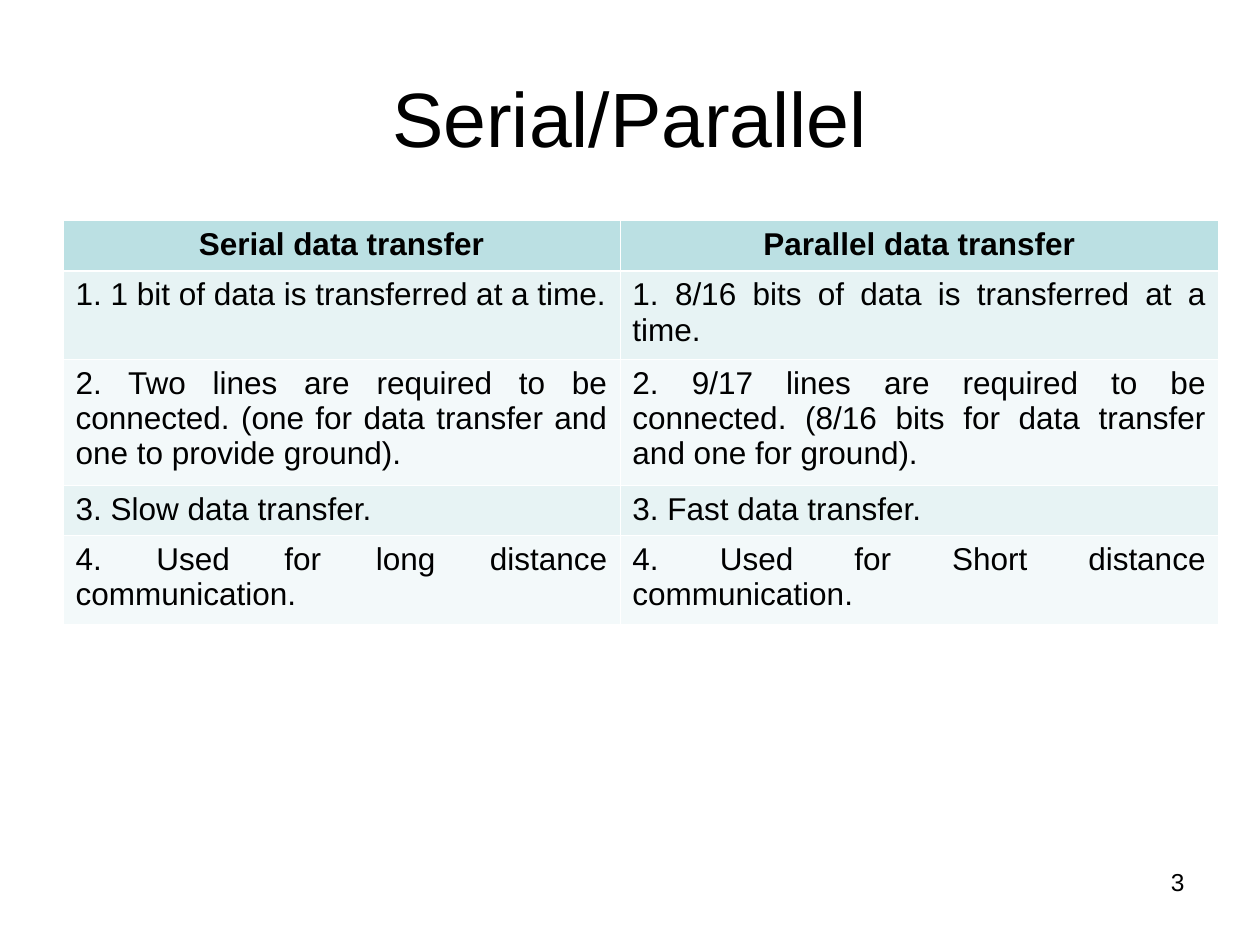
import pptx
import pptx.util
import pptx.dml.color
import pptx.enum.text
import pptx.oxml
import pptx.oxml.ns

Inches = pptx.util.Inches
align = pptx.enum.text.PP_ALIGN
anchor = pptx.enum.text.MSO_ANCHOR


def tint(code):
    return pptx.dml.color.RGBColor.from_string(code)


def write(frame, text, size, side, bold=False):
    para = frame.paragraphs[0]
    para.text = text
    para.alignment = side
    para.font.name = "Arial"
    para.font.size = pptx.util.Pt(size)
    para.font.bold = bold
    para.font.color.rgb = tint("000000")


deck = pptx.Presentation()
deck.slide_width = Inches(10)
deck.slide_height = Inches(7.5)
slide = deck.slides.add_slide(deck.slide_layouts[6])

labels = [
    ("Serial/Parallel", 44, align.CENTER, anchor.MIDDLE, (0.5, 0.3, 9, 1.25)),
    ("3", 14, align.RIGHT, anchor.TOP, (7.17, 6.83, 2.33, 0.52)),
]
for text, size, side, place, area in labels:
    frame = slide.shapes.add_textbox(*map(Inches, area)).text_frame
    frame.word_wrap = True
    frame.vertical_anchor = place
    write(frame, text, size, side)

rows = [
    ("Serial data transfer", "Parallel data transfer"),
    ("1. 1 bit of data is transferred at a time.",
     "1. 8/16 bits of data is transferred at a time."),
    ("2. Two lines are required to be connected. (one for data transfer and one to provide ground).",
     "2. 9/17 lines are required to be connected. (8/16 bits for data transfer and one for ground)."),
    ("3. Slow data transfer.", "3. Fast data transfer."),
    ("4. Used for long distance communication.",
     "4. Used for Short distance communication."),
]
widths = [4.42, 4.75]
heights = [0.4, 0.7, 1, 0.4, 0.7]
fills = ["BBE0E3", "E7F3F4", "F3F9FA", "E7F3F4", "F3F9FA"]

table = slide.shapes.add_table(
    len(rows), len(widths), Inches(0.5), Inches(1.75),
    Inches(sum(widths)), Inches(sum(heights))).table
for col, width in zip(table.columns, widths):
    col.width = Inches(width)
for row, height in zip(table.rows, heights):
    row.height = Inches(height)

space = pptx.oxml.ns.nsdecls("a")
for r, texts in enumerate(rows):
    head = r == 0
    thick = {"T": r == 1, "B": head}
    for c, text in enumerate(texts):
        cell = table.cell(r, c)
        side = align.CENTER if head else align.JUSTIFY
        write(cell.text_frame, text, 18, side, head)
        props = cell._tc.get_or_add_tcPr()
        for edge in "LRTB":
            line = pptx.util.Pt(1.47 if thick.get(edge) else 0.45)
            props.append(pptx.oxml.parse_xml(
                f'<a:ln{edge} {space} w="{line}"><a:solidFill>'
                f'<a:srgbClr val="FFFFFF"/></a:solidFill></a:ln{edge}>'))
        cell.fill.solid()
        cell.fill.fore_color.rgb = tint(fills[r])

deck.save("out.pptx")
